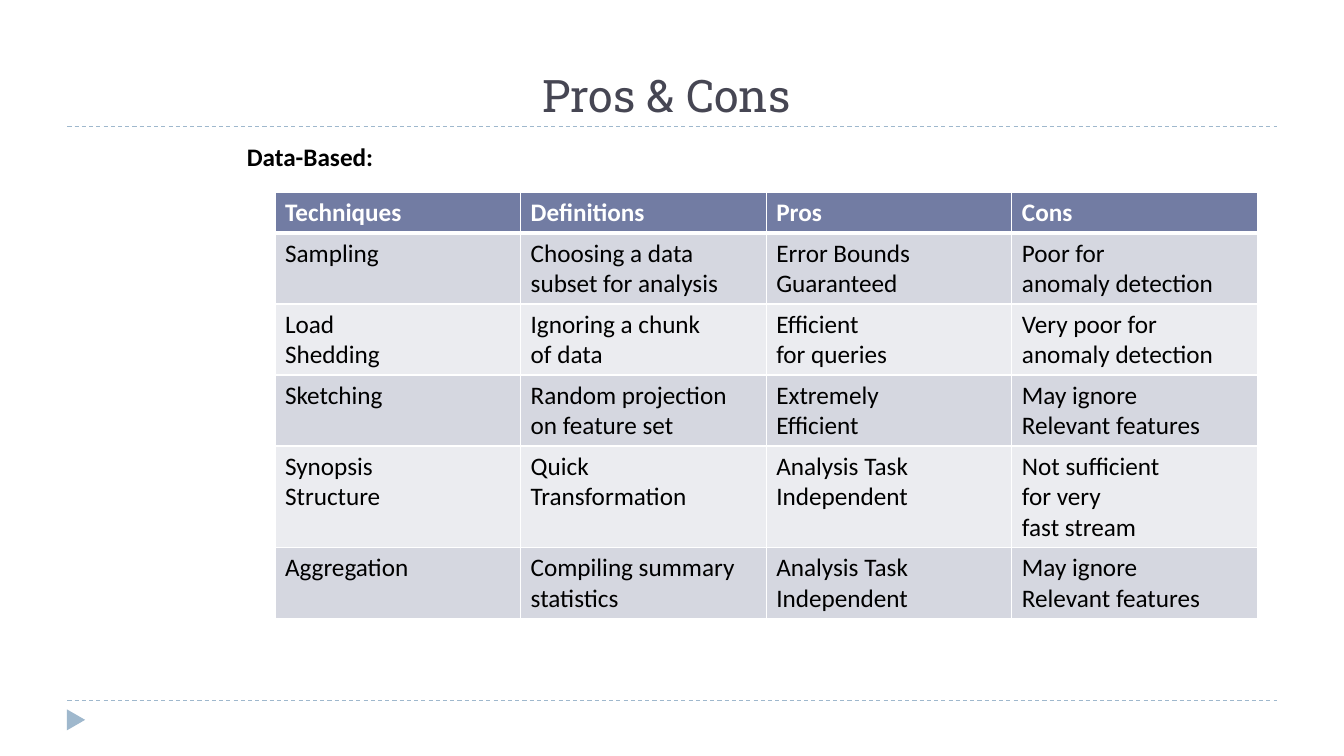
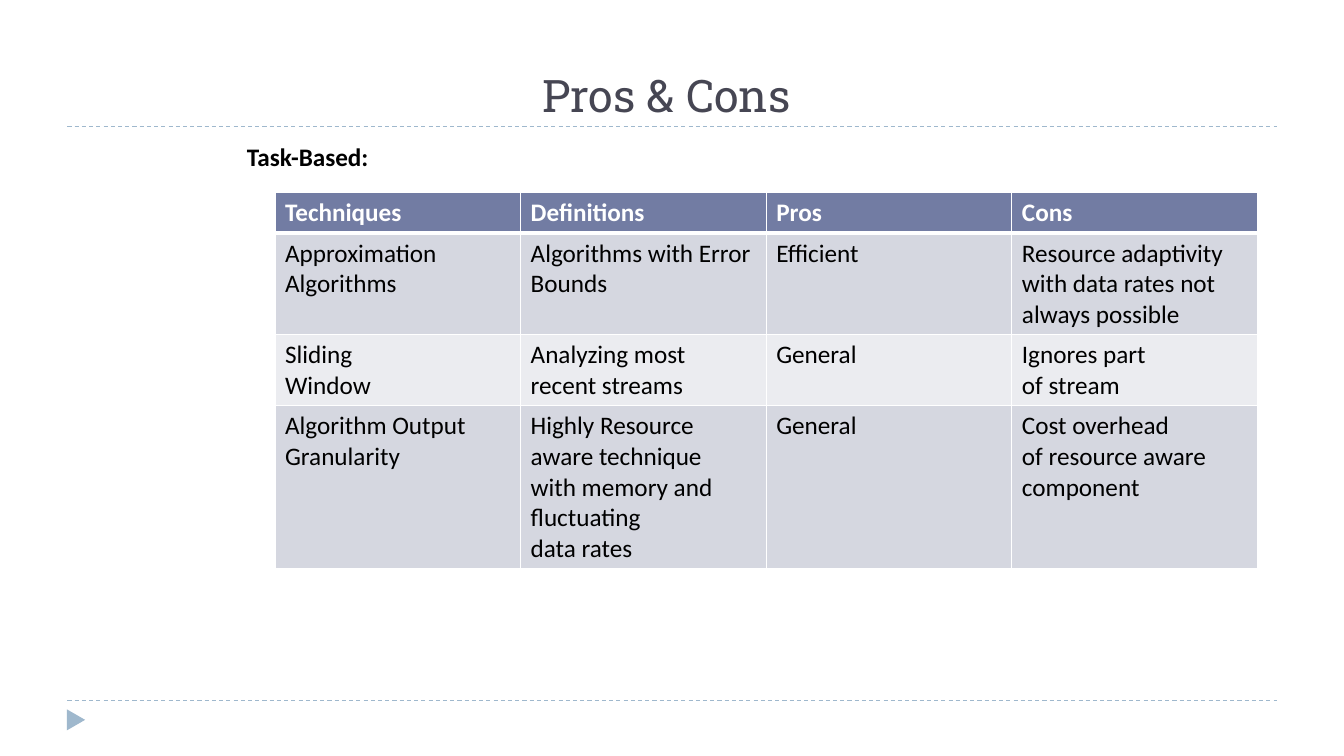
"""Build two slides that compare the pros and cons of stream mining techniques."""
from dataclasses import dataclass
from typing import Any, NamedTuple

from lxml import etree
from pptx import Presentation
from pptx import util as u
from pptx.dml.color import RGBColor
from pptx.enum import dml, shapes, text
from pptx.oxml import ns


@dataclass(frozen=True)
class Theme:
    title_color: RGBColor = RGBColor(0x46, 0x46, 0x53)
    accent: RGBColor = RGBColor(0x9F, 0xB8, 0xCD)
    header: RGBColor = RGBColor(0x72, 0x7C, 0xA3)
    bands: tuple[RGBColor, RGBColor] = (
        RGBColor(0xD5, 0xD7, 0xE0), RGBColor(0xEB, 0xEC, 0xF0))
    white: RGBColor = RGBColor(0xFF, 0xFF, 0xFF)
    black: RGBColor = RGBColor(0, 0, 0)
    title_font: str = "Roboto Slab"
    body_font: str = "Calibri"
    title_size: u.Pt = u.Pt(32)
    body_size: u.Pt = u.Pt(18)
    rule_width: u.Pt = u.Pt(0.75)
    border: u.Pt = u.Pt(1)
    header_border: u.Pt = u.Pt(3)


class Box(NamedTuple):
    left: float
    top: float
    width: float
    height: float

    def lengths(self) -> list[u.Cm]:
        return [u.Cm(value) for value in self]


class Row(NamedTuple):
    lines: int
    cells: tuple[str, str, str, str]


class Comparison(NamedTuple):
    label: str
    rows: list[Row]


THEME = Theme()
SLIDE_WIDTH, SLIDE_HEIGHT = 33.87, 19.05
MARGIN = 1.7
RULE_TOPS = (17.65, 3.18)
TITLE_BOX = Box(MARGIN, 0.43, 30.48, 2.75)
MARKER_BOX = Box(1.65, 17.91, 0.53, 0.46)
LABEL_BOX = Box(5.97, 3.43, 6.02, 1.02)
TABLE_LEFT, TABLE_TOP, COLUMN_WIDTH = 6.93, 4.85, 6.19
LINE_HEIGHT, CELL_PADDING = 0.77, 0.25
TITLE = "Pros & Cons "
HEADER = Row(1, ("Techniques", "Definitions", "Pros", "Cons"))

COMPARISONS = [
    Comparison("Data-Based:", [
        Row(2, ("Sampling", "Choosing a data\nsubset for analysis",
                "Error Bounds\nGuaranteed", "Poor for\nanomaly detection")),
        Row(2, ("Load\nShedding", "Ignoring a chunk\nof data",
                "Efficient\nfor queries", "Very poor for\nanomaly detection")),
        Row(2, ("Sketching", "Random projection\non feature set",
                "Extremely\nEfficient", "May ignore\nRelevant features")),
        Row(3, ("Synopsis\nStructure", "Quick\nTransformation",
                "Analysis Task\nIndependent", "Not sufficient\nfor very\nfast stream")),
        Row(2, ("Aggregation", "Compiling summary statistics",
                "Analysis Task Independent", "May ignore\nRelevant features")),
    ]),
    Comparison("Task-Based:", [
        Row(3, ("Approximation Algorithms", "Algorithms with Error Bounds",
                "Efficient", "Resource adaptivity with data rates not always possible")),
        Row(2, ("Sliding\nWindow", "Analyzing most\nrecent streams",
                "General", "Ignores part\nof stream")),
        Row(5, ("Algorithm Output\nGranularity",
                "Highly Resource\naware technique\nwith memory and\nfluctuating\ndata rates",
                "General", "Cost overhead\nof resource aware\ncomponent")),
    ]),
]


def apply_format(target: Any, values: dict[str, Any]) -> None:
    for name, value in values.items():
        setattr(target, name, value)


def write_text(frame: Any, content: str, color: RGBColor, font: dict[str, Any],
               alignment: text.PP_ALIGN = text.PP_ALIGN.LEFT) -> None:
    frame.text = content
    for paragraph in frame.paragraphs:
        paragraph.alignment = alignment
        for run in paragraph.runs:
            apply_format(run.font, font)
            run.font.color.rgb = color


def body_font(bold: bool) -> dict[str, Any]:
    return {"name": THEME.body_font, "size": THEME.body_size, "bold": bold}


def add_rule(slide: Any, top: float) -> None:
    rule = slide.shapes.add_connector(
        shapes.MSO_CONNECTOR.STRAIGHT, u.Cm(MARGIN), u.Cm(top),
        u.Cm(MARGIN + TITLE_BOX.width), u.Cm(top))
    rule.line.color.rgb = THEME.accent
    apply_format(rule.line, {"width": THEME.rule_width,
                             "dash_style": dml.MSO_LINE.DASH})
    etree.SubElement(rule._element.spPr, ns.qn("a:effectLst"))


def add_frame(slide: Any) -> None:
    for top in RULE_TOPS:
        add_rule(slide, top)
    marker = slide.shapes.add_shape(
        shapes.MSO_SHAPE.ISOSCELES_TRIANGLE, *MARKER_BOX.lengths())
    marker.rotation = 90
    marker.shadow.inherit = False
    marker.fill.solid()
    marker.fill.fore_color.rgb = THEME.accent
    marker.line.fill.background()

    title = slide.shapes.add_textbox(*TITLE_BOX.lengths()).text_frame
    apply_format(title, {"word_wrap": True,
                         "vertical_anchor": text.MSO_ANCHOR.BOTTOM})
    write_text(title, TITLE, THEME.title_color,
               {"name": THEME.title_font, "size": THEME.title_size},
               text.PP_ALIGN.CENTER)


def add_label(slide: Any, content: str) -> None:
    label = slide.shapes.add_textbox(*LABEL_BOX.lengths()).text_frame
    apply_format(label, {"word_wrap": True,
                         "auto_size": text.MSO_AUTO_SIZE.SHAPE_TO_FIT_TEXT})
    write_text(label, content, THEME.black, body_font(True))


def set_borders(cell: Any, top: u.Pt, bottom: u.Pt) -> None:
    properties = cell._tc.get_or_add_tcPr()
    widths = {"lnL": THEME.border, "lnR": THEME.border, "lnT": top, "lnB": bottom}
    for side, width in widths.items():
        line = etree.SubElement(properties, ns.qn(f"a:{side}"), w=str(int(width)))
        fill = etree.SubElement(line, ns.qn("a:solidFill"))
        etree.SubElement(fill, ns.qn("a:srgbClr"), val=str(THEME.white))


def add_comparison_table(slide: Any, body_rows: list[Row]) -> None:
    rows = [HEADER, *body_rows]
    heights = [CELL_PADDING + LINE_HEIGHT * row.lines for row in rows]
    columns = len(HEADER.cells)
    box = Box(TABLE_LEFT, TABLE_TOP, COLUMN_WIDTH * columns, sum(heights))
    table = slide.shapes.add_table(len(rows), columns, *box.lengths()).table
    apply_format(table, {"first_row": True, "horz_banding": False})
    for column in table.columns:
        column.width = u.Cm(COLUMN_WIDTH)
    for index, (row, height) in enumerate(zip(rows, heights)):
        table.rows[index].height = u.Cm(height)
        is_header = index == 0
        fill = THEME.header if is_header else THEME.bands[(index - 1) % 2]
        color = THEME.white if is_header else THEME.black
        top = THEME.header_border if index == 1 else THEME.border
        bottom = THEME.header_border if is_header else THEME.border
        for cell, content in zip(table.rows[index].cells, row.cells):
            set_borders(cell, top, bottom)
            cell.fill.solid()
            cell.fill.fore_color.rgb = fill
            write_text(cell.text_frame, content, color, body_font(is_header))


def main() -> None:
    presentation = Presentation()
    apply_format(presentation, {"slide_width": u.Cm(SLIDE_WIDTH),
                                "slide_height": u.Cm(SLIDE_HEIGHT)})
    blank = presentation.slide_layouts[6]
    for comparison in COMPARISONS:
        slide = presentation.slides.add_slide(blank)
        add_frame(slide)
        add_comparison_table(slide, comparison.rows)
        add_label(slide, comparison.label)
    presentation.save("out.pptx")


if __name__ == "__main__":
    main()
